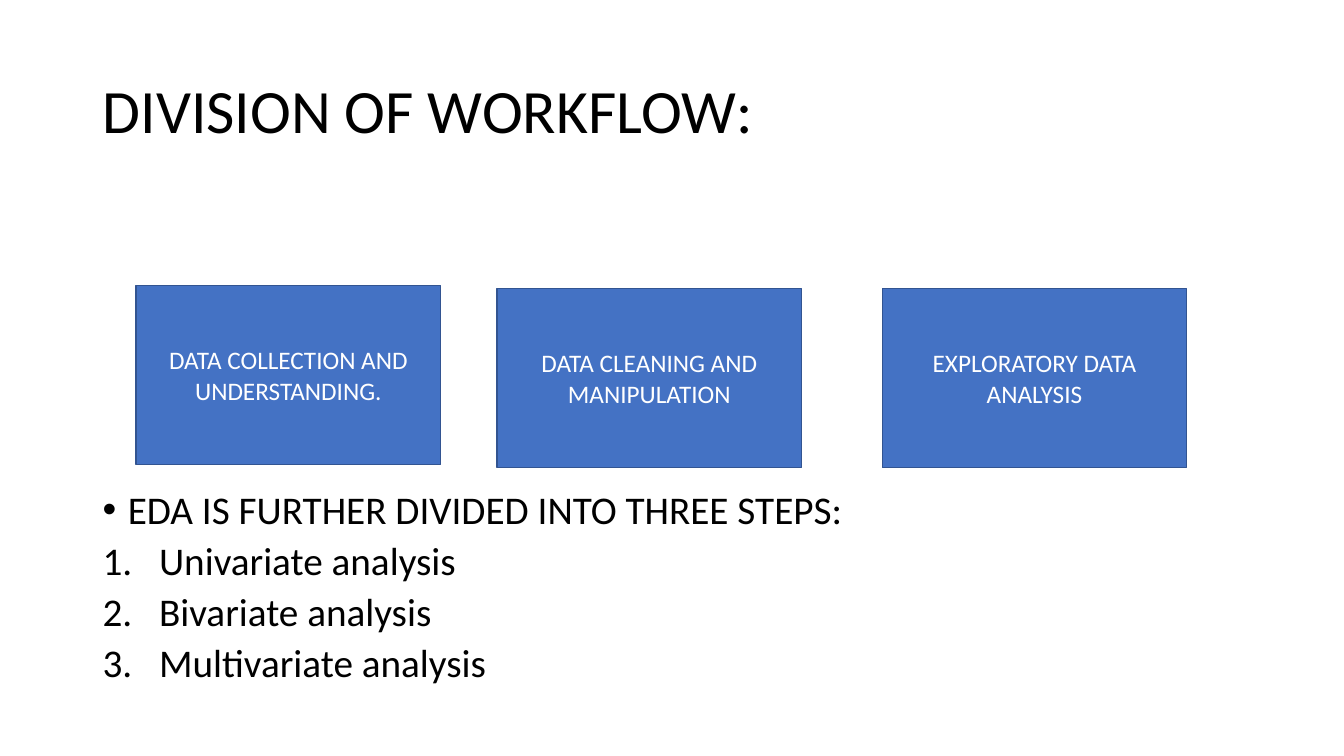
from lxml.etree import SubElement
from pptx import Presentation
from pptx.dml.color import RGBColor
from pptx.enum.shapes import MSO_SHAPE
from pptx.enum.text import MSO_ANCHOR as ANCHOR, PP_ALIGN as ALIGN
from pptx.oxml.ns import qn
from pptx.util import Inches, Pt

BLACK = RGBColor(0x00, 0x00, 0x00)
WHITE = RGBColor(0xFF, 0xFF, 0xFF)
BLUE = RGBColor(0x44, 0x72, 0xC4)
DARK_BLUE = RGBColor(0x32, 0x54, 0x91)

STAGES = [
    (0, 0, "DATA COLLECTION AND UNDERSTANDING."),
    (3.58, 0.03, "DATA CLEANING AND MANIPULATION"),
    (7.4, 0.03, "EXPLORATORY DATA ANALYSIS"),
]
EDA_HEADING = "EDA IS FURTHER DIVIDED INTO THREE STEPS:"
EDA_STEPS = ["Univariate analysis", "Bivariate analysis", "Multivariate analysis"]


def style_text(paragraph, size, color):
    """Give every run of a paragraph the slide's font."""
    for run in paragraph.runs:
        run.font.name = "Calibri"
        run.font.size = Pt(size)
        run.font.color.rgb = color


def set_marker(paragraph, indent, tag, **attributes):
    """Give a paragraph a hanging indent and a bullet or number."""
    properties = paragraph._p.get_or_add_pPr()
    properties.set("marL", str(Inches(indent)))
    properties.set("indent", str(-Inches(indent)))
    SubElement(properties, qn("a:buFont"), typeface="Arial" if tag == "a:buChar" else "+mj-lt")
    SubElement(properties, qn(tag), **attributes)


def add_title(slide, left, top, width, height):
    """Place and format the title."""
    title = slide.shapes.title
    title.left, title.top = Inches(left), Inches(top)
    title.width, title.height = Inches(width), Inches(height)
    frame = title.text_frame
    frame.text = "DIVISION OF WORKFLOW:"
    frame.vertical_anchor = ANCHOR.MIDDLE
    heading = frame.paragraphs[0]
    heading.alignment = ALIGN.LEFT
    heading.line_spacing = 0.9
    style_text(heading, 44, BLACK)


def add_stages(slide, left, top, width, height):
    """Draw the workflow stages, each of the given size, from the given corner."""
    for offset_x, offset_y, label in STAGES:
        stage = slide.shapes.add_shape(
            MSO_SHAPE.RECTANGLE, Inches(left + offset_x), Inches(top + offset_y),
            Inches(width), Inches(height))
        stage.shadow.inherit = False
        stage.fill.solid()
        stage.fill.fore_color.rgb = BLUE
        stage.line.color.rgb = DARK_BLUE
        stage.line.width = Pt(1)
        frame = stage.text_frame
        frame.word_wrap = True
        frame.vertical_anchor = ANCHOR.MIDDLE
        frame.text = label
        frame.paragraphs[0].alignment = ALIGN.CENTER
        style_text(frame.paragraphs[0], 18, WHITE)


def add_eda_steps(slide, left, top, width, height):
    """Write the bulleted heading and the numbered analysis steps."""
    eda_box = slide.shapes.add_textbox(
        Inches(left), Inches(top), Inches(width), Inches(height))
    frame = eda_box.text_frame
    frame.word_wrap = True
    frame.text = "\n".join([EDA_HEADING, *EDA_STEPS])
    for paragraph in frame.paragraphs:
        paragraph.line_spacing = 0.8
        paragraph.space_before = Pt(9.5)
        style_text(paragraph, 28, BLACK)
    heading, *steps = frame.paragraphs
    set_marker(heading, 0.25, "a:buChar", char="•")
    for step in steps:
        set_marker(step, 0.56, "a:buAutoNum", type="arabicPeriod")


def build():
    """Build the workflow slide and save it."""
    deck = Presentation()
    deck.slide_width, deck.slide_height = Inches(13.33), Inches(7.5)
    slide = deck.slides.add_slide(deck.slide_layouts[5])
    add_title(slide, 0.92, 0.4, 11.5, 1.45)
    add_eda_steps(slide, 0.92, 4.86, 11.5, 2.18)
    add_stages(slide, 1.35, 2.83, 3.02, 1.78)
    deck.save("out.pptx")


build()
